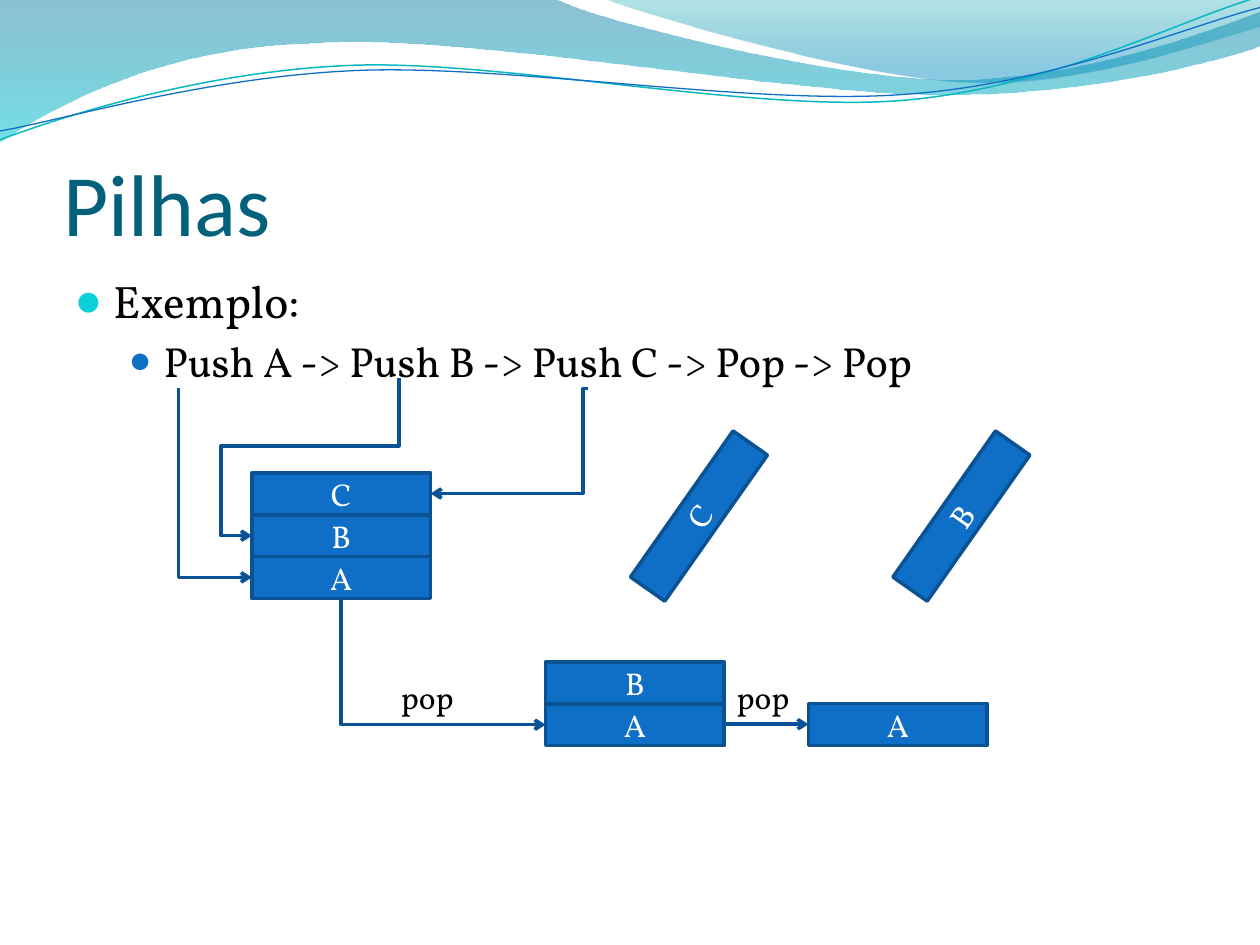
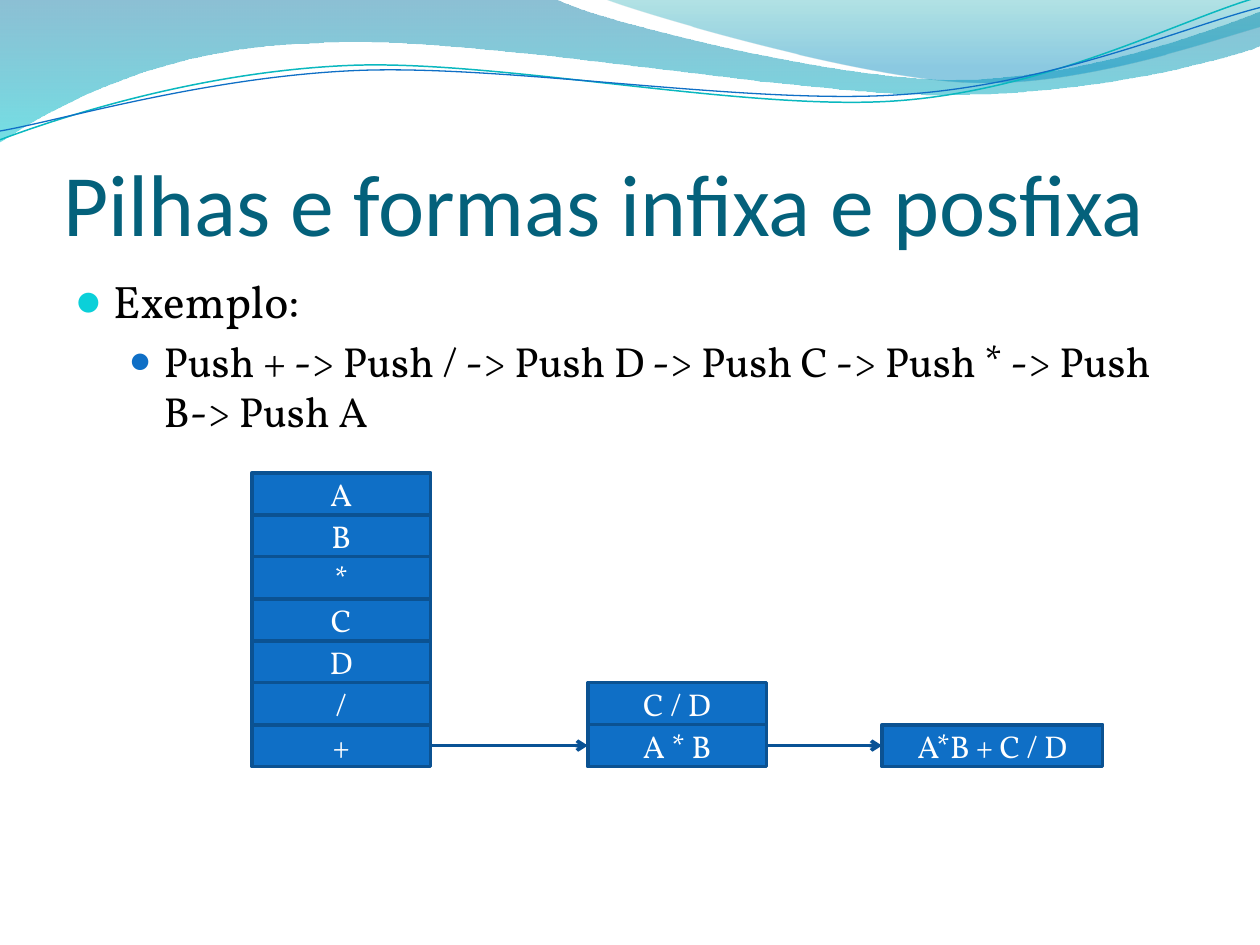
from math import cos, radians, sin

from lxml import etree
from pptx import Presentation
from pptx import util as u
from pptx.dml.color import RGBColor
from pptx.enum import shapes, text
from pptx.oxml.ns import qn

HUES = {
    "title": "04617B", "ink": "000000", "white": "FFFFFF",
    "box": "0F6FC6", "edge": "0B5292", "arrow": "095295",
    "dot": "0BD0D9", "subdot": "0F6FC6",
    "deep": "0074A1", "aqua": "00C6CF", "teal": "00A1A9", "sky": "008BBF",
    "thread": "0AB8BF",
}
HEAD, BODY = "Calibri", "Vollkorn"
TENTH = 2.54  # a tenth of the slide width, in cm
BOX_W, BOX_H, TILT = 3.6, TENTH / 3, 305.1

# Stacks: left, top, width, labels from the top down.
# Links: start, end, then the bend (connector type, turn, adjustments).
SLIDES = [
    {
        "title": "Pilhas",
        "steps": "Push A -> Push B -> Push C -> Pop -> Pop",
        "stacks": [
            (5.08, 9.53, BOX_W, ["C", "B", "A"]),
            (11, 13.34, BOX_W, ["B", "A"]),
            (16.3, 14.18, BOX_W, ["A"]),
        ],
        "popped": [(12.29, 9.98, "C"), (17.58, 9.98, "B")],
        "links": [
            ((3.6, 7.83), (5.08, 11.64), ("bentConnector2", 270, [])),
            ((8.04, 7.62), (5.08, 10.8), ("bentConnector4", 90, [0.43, 1.21])),
            ((11.85, 7.83), (8.68, 9.95), ("bentConnector3", 180, [0.03])),
            ((6.88, 12.07), (11, 14.61), ("bentConnector2", 270, [])),
            ((14.6, 14.6), (16.3, 14.6), None),
        ],
        "tags": [(7.83, 13.55, "pop"), (14.6, 13.55, "pop")],
    },
    {
        "title": "Pilhas e formas infixa e posfixa",
        "steps": "Push + -> Push / -> Push D -> Push C -> Push * -> Push B-> Push A",
        "stacks": [
            (5.08, 9.53, BOX_W, ["A", "B", "*", "C", "D", "/", "+"]),
            (11.85, 13.76, BOX_W, ["C / D", "A * B"]),
            (17.78, 14.61, 4.45, ["A*B + C / D"]),
        ],
        "popped": [],
        "links": [
            ((8.68, 15.03), (11.85, 15.03), None),
            ((15.45, 15.03), (17.78, 15.03), None),
        ],
        "tags": [],
    },
]

# Waves, in tenths of the slide width: a start, then lines (2 numbers) and curves (6).
WAVES = [
    {"start": (0, 0), "fill": [(0, "deep", 45), (1, "aqua", 55)], "parts": [
        (4.4, -0.01), (4.76, 0.17, 6.64, 0.63, 7.58, 0.63),
        (8.53, 0.63, 9.58, 0.26, 10, 0.09), (10.01, 0.36),
        (9.83, 0.44, 8.7, 0.76, 7.46, 0.75), (6.22, 0.75, 3.82, 0.28, 2.57, 0.34),
        (1.29, 0.36, 0.46, 0.83, -0.01, 1.13), (0, 0)]},
    {"start": (4.79, -0.01), "fill": [(0, "teal", 30), (0.8, "sky", 45)], "parts": [
        (5.09, 0.11, 6.82, 0.62, 7.69, 0.65), (8.56, 0.69, 9.61, 0.32, 10, 0.21),
        (10, 0), (4.79, -0.01)]},
    {"start": (0, 1.11), "line": ("thread", 0.85), "parts": [
        (0.48, 0.93, 1.58, 0.57, 2.77, 0.52), (3.95, 0.47, 5.93, 0.89, 7.13, 0.8),
        (8.33, 0.71, 9.38, 0.15, 9.98, -0.02)]},
    {"start": (0, 1.04), "line": ("box", 0.75), "parts": [
        (0.47, 0.96, 1.64, 0.61, 2.83, 0.56), (4.03, 0.51, 5.97, 0.84, 7.17, 0.75),
        (8.36, 0.67, 9.41, 0.21, 10, 0.06)]},
]


def rgb(hue):
    return RGBColor.from_string(HUES[hue])


def cms(*vals):
    return [u.Cm(val) for val in vals]


def node(root, tag, **attrs):
    return etree.SubElement(root, qn(tag), {key: str(val) for key, val in attrs.items()})


def write(frame, words, size=18, hue="ink", font=BODY, align=text.PP_ALIGN.LEFT, dot=None):
    """Add a paragraph; dot is (hue, percent size, margin cm, hang cm)."""
    para = frame.paragraphs[0] if not frame.text else frame.add_paragraph()
    para.alignment = align
    run = para.add_run()
    run.text = words
    run.font.size, run.font.name = u.Pt(size), font
    run.font.color.rgb = rgb(hue)
    if dot:
        tint, share, margin, hang = dot
        para.space_before = u.Pt(size * 0.18)
        props = para._p.get_or_add_pPr()
        props.set("marL", str(u.Cm(margin)))
        props.set("indent", str(-u.Cm(hang)))
        node(node(props, "a:buClr"), "a:srgbClr", val=HUES[tint])
        node(props, "a:buSzPct", val=share * 1000)
        node(props, "a:buFont", typeface=HEAD)
        node(props, "a:buChar", char="●")


def add_curve(slide, start, parts):
    """Build an outline through the end points, then bend its curved parts."""
    ends = [cms(*(val * TENTH for val in part[-2:])) for part in parts]
    pen = slide.shapes.build_freeform(*cms(*(val * TENTH for val in start)))
    pen.add_line_segments(ends, close=ends[-1] == cms(*(val * TENTH for val in start)))
    shape = pen.convert_to_shape()
    for line, part in zip(list(shape.element.iter(qn("a:lnTo"))), parts):
        if len(part) == 6:
            line.tag = qn("a:cubicBezTo")
            for spot, (x, y) in enumerate(zip(part[:4:2], part[1:4:2])):
                pt = etree.Element(qn("a:pt"), x=str(u.Cm(x * TENTH) - shape.left),
                                   y=str(u.Cm(y * TENTH) - shape.top))
                line.insert(spot, pt)
    return shape


def add_wave(slide, wave):
    shape = add_curve(slide, wave["start"], wave["parts"])
    shape.shadow.inherit = False
    if "fill" in wave:
        shape.line.fill.background()
        shape.fill.gradient()
        shape.fill.gradient_angle = 270
        for stop, (spot, hue, _) in zip(shape.fill.gradient_stops, wave["fill"]):
            stop.position, stop.color.rgb = spot, rgb(hue)
        for tint, (_, _, alpha) in zip(shape.element.iter(qn("a:srgbClr")), wave["fill"]):
            node(tint, "a:alpha", val=alpha * 1000)
    else:
        hue, width = wave["line"]
        shape.fill.background()
        shape.line.color.rgb, shape.line.width = rgb(hue), u.Pt(width)
    return shape


def add_box(slide, left, top, width, label, turn=0):
    box = slide.shapes.add_shape(shapes.MSO_SHAPE.RECTANGLE, *cms(left, top, width, BOX_H))
    box.shadow.inherit = False
    box.rotation = turn
    box.fill.solid()
    box.fill.fore_color.rgb = rgb("box")
    box.line.color.rgb, box.line.width = rgb("edge"), u.Pt(2)
    box.text_frame.vertical_anchor = text.MSO_ANCHOR.MIDDLE
    write(box.text_frame, label, hue="white", align=text.PP_ALIGN.CENTER)


def add_link(slide, start, end, bend):
    """Draw an arrow; a turned one is laid out unturned about its centre first."""
    kind, turn, adjs = bend or ("line", 0, [])
    mid_x, mid_y = (start[0] + end[0]) / 2, (start[1] + end[1]) / 2
    off_x, off_y = start[0] - mid_x, start[1] - mid_y
    c, s = cos(radians(turn)), sin(radians(turn))
    dx, dy = off_x * c + off_y * s, off_y * c - off_x * s
    link = slide.shapes.add_connector(
        shapes.MSO_CONNECTOR.ELBOW if bend else shapes.MSO_CONNECTOR.STRAIGHT,
        *cms(mid_x + dx, mid_y + dy, mid_x - dx, mid_y - dy))
    link.line.color.rgb, link.line.width = rgb("arrow"), u.Pt(2)
    props = link.element.spPr
    node(props.find(qn("a:ln")), "a:tailEnd", type="arrow")
    node(props, "a:effectLst")
    if bend:
        props.find(qn("a:xfrm")).set("rot", str(turn * 60000))
        geom = props.find(qn("a:prstGeom"))
        geom.set("prst", kind)
        for num, adj in enumerate(adjs, 1):
            node(geom.find(qn("a:avLst")), "a:gd", name=f"adj{num}",
                 fmla=f"val {round(adj * 100000)}")


def add_heading(slide, title, steps):
    head = slide.shapes.title
    head.left, head.top, head.width, head.height = cms(1.27, 1.95, 22.86, 3.18)
    frame = head.text_frame
    frame.auto_size = text.MSO_AUTO_SIZE.NONE
    frame.vertical_anchor = text.MSO_ANCHOR.BOTTOM
    frame.margin_left = frame.margin_right = frame.margin_bottom = 0
    write(frame, title, size=50, hue="title", font=HEAD)

    body = slide.shapes.add_textbox(*cms(1.27, 5.38, 22.86, 12.19)).text_frame
    body.word_wrap = True
    write(body, "Exemplo:", size=26, dot=("dot", 95, 0.76, 0.76))
    write(body, steps, size=24, dot=("subdot", 85, 1.78, 0.69))


def add_slide(deck, layout, data):
    slide = deck.slides.add_slide(layout)
    add_heading(slide, data["title"], data["steps"])
    for left, top, width, labels in data["stacks"]:
        for row, label in reversed(list(enumerate(labels))):
            add_box(slide, left, top + row * BOX_H, width, label)
    for left, top, label in data["popped"]:
        add_box(slide, left, top, BOX_W, label, turn=TILT)
    for link in data["links"]:
        add_link(slide, *link)
    for left, top, words in data["tags"]:
        tag = slide.shapes.add_textbox(*cms(left, top, 1.57, 1.02))
        tag.text_frame.word_wrap = False
        write(tag.text_frame, words)
    return slide


def main():
    deck = Presentation()
    deck.slide_width, deck.slide_height = cms(25.4, 19.05)
    layout = deck.slide_layouts[5]
    made = [add_slide(deck, layout, data) for data in SLIDES]
    # The waves belong to the layout, behind its placeholders.
    for spot, wave in enumerate(WAVES, 2):
        layout.shapes.element.insert(spot, add_wave(made[0], wave).element)
    deck.save("out.pptx")


if __name__ == "__main__":
    main()
